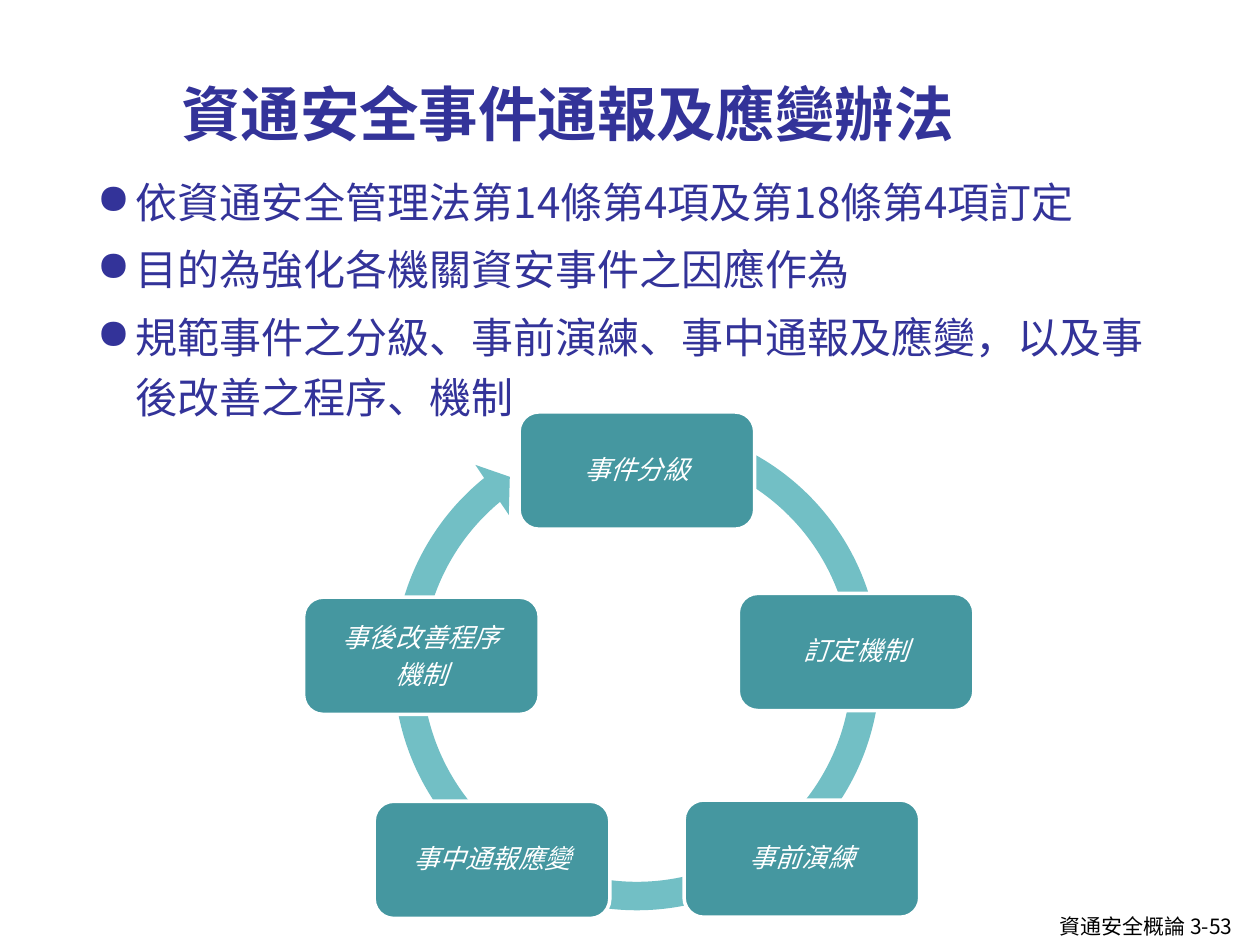
from dataclasses import dataclass
from typing import Optional

from lxml import etree
from pptx import Presentation
from pptx import util as u
from pptx.dml import color
from pptx.enum import shapes, text
from pptx.oxml import ns


@dataclass(frozen=True)
class Style:
    size: float
    rgb: str
    font: str = "Noto Sans CJK SC"
    bold: bool = False
    italic: bool = False


@dataclass(frozen=True)
class Theme:
    title: Style = Style(34, "333399", bold=True)
    body: Style = Style(24, "333399")
    footer: Style = Style(12, "000000")
    step: Style = Style(15, "FFFFFF", "Noto Sans CJK TC", italic=True)
    ring: str = "72BFC5"
    box: str = "4597A0"
    border: str = "FFFFFF"


@dataclass(frozen=True)
class Step:
    left: float
    top: float
    lines: tuple[str, ...]


THEME = Theme()
BULLETS = (
    "依資通安全管理法第14條第4項及第18條第4項訂定",
    "目的為強化各機關資安事件之因應作為",
    "規範事件之分級、事前演練、事中通報及應變，以及事後改善之程序、機制",
)
STEPS = (
    Step(4.12, 3.27, ("事件分級",)),
    Step(5.86, 4.71, ("訂定機制",)),
    Step(5.43, 6.35, ("事前演練",)),
    Step(2.97, 6.36, ("事中通報應變",)),
    Step(2.41, 4.74, ("事後改善程序", "機制")),
)
RING_ADJUSTMENTS = (0.055, 3.307, 138.453, 173.439, 0.058)


def inches(*values: float) -> list[u.Length]:
    return [u.Inches(v) for v in values]


def add_run(p, content: str, style: Style) -> None:
    r = p.add_run()
    r.text = content
    f = r.font
    f.size, f.bold, f.italic = u.Pt(style.size), style.bold, style.italic
    f.color.rgb = color.RGBColor.from_string(style.rgb)
    f.name = style.font
    ea = etree.SubElement(r._r.get_or_add_rPr(), ns.qn("a:ea"))
    ea.set("typeface", style.font)


def add_lines(tf, lines: tuple[str, ...], style: Style) -> list:
    for i, line in enumerate(lines):
        p = tf.paragraphs[0] if i == 0 else tf.add_paragraph()
        add_run(p, line, style)
    return list(tf.paragraphs)


def add_text(s, box: tuple[float, ...], lines: tuple[str, ...], style: Style):
    tf = s.shapes.add_textbox(*inches(*box)).text_frame
    tf.word_wrap = True
    add_lines(tf, lines, style)
    return tf


def add_bullets(s) -> None:
    tf = add_text(s, (0.67, 1.27, 8.83, 5.71), BULLETS, THEME.body)
    for p in tf.paragraphs:
        p.line_spacing = 1.2
        p.space_before = p.space_after = u.Pt(2)
        pPr = p._p.get_or_add_pPr()
        pPr.set("marL", str(u.Inches(0.31)))
        pPr.set("indent", str(u.Inches(-0.31)))
        etree.SubElement(pPr, ns.qn("a:buChar")).set("char", "●")


def add_filled(s, kind, box: tuple[float, ...], rgb: str):
    sp = s.shapes.add_shape(kind, *inches(*box))
    sp.shadow.inherit = False
    sp.fill.solid()
    sp.fill.fore_color.rgb = color.RGBColor.from_string(rgb)
    return sp


def add_ring(s) -> None:
    kind = shapes.MSO_SHAPE.CIRCULAR_ARROW
    sp = add_filled(s, kind, (3, 3.24, 4.11, 4.11), THEME.ring)
    sp.line.fill.background()
    for i, value in enumerate(RING_ADJUSTMENTS):
        sp.adjustments[i] = value


def add_step(s, step: Step) -> None:
    kind = shapes.MSO_SHAPE.ROUNDED_RECTANGLE
    sp = add_filled(s, kind, (step.left, step.top, 1.87, 0.93), THEME.box)
    sp.line.color.rgb = color.RGBColor.from_string(THEME.border)
    sp.line.width = u.Pt(2)
    tf = sp.text_frame
    tf.word_wrap = True
    tf.vertical_anchor = text.MSO_ANCHOR.MIDDLE
    tf.margin_left = tf.margin_right = u.Inches(0.06)
    tf.margin_top = tf.margin_bottom = u.Inches(0.06)
    paragraphs = add_lines(tf, step.lines, THEME.step)
    for p in paragraphs:
        p.alignment = text.PP_ALIGN.CENTER
        p.line_spacing = 0.9
        p.space_after = u.Pt(5.25)
    if len(paragraphs) > 1:
        paragraphs[0].line_spacing = u.Pt(18)


def add_label(s, box: tuple[float, ...], content: str, style: Style,
              anchor: Optional[text.MSO_ANCHOR] = None, wrap: bool = True) -> None:
    tf = add_text(s, box, (content,), style)
    tf.word_wrap = wrap
    tf.vertical_anchor = anchor
    if not wrap:
        tf.auto_size = text.MSO_AUTO_SIZE.SHAPE_TO_FIT_TEXT


def main() -> None:
    """Build the slide on incident reporting and response rules."""
    prs = Presentation()
    prs.slide_width, prs.slide_height = inches(10, 7.5)
    s = prs.slides.add_slide(prs.slide_layouts[6])
    add_label(s, (8.31, 7.2, 1.69, 0.3), "資通安全概論 3-53", THEME.footer, wrap=False)
    add_bullets(s)
    add_label(s, (1.34, 0.21, 8.16, 1.02), "資通安全事件通報及應變辦法",
              THEME.title, text.MSO_ANCHOR.BOTTOM)
    add_ring(s)
    for step in STEPS:
        add_step(s, step)
    prs.save("out.pptx")


if __name__ == "__main__":
    main()
